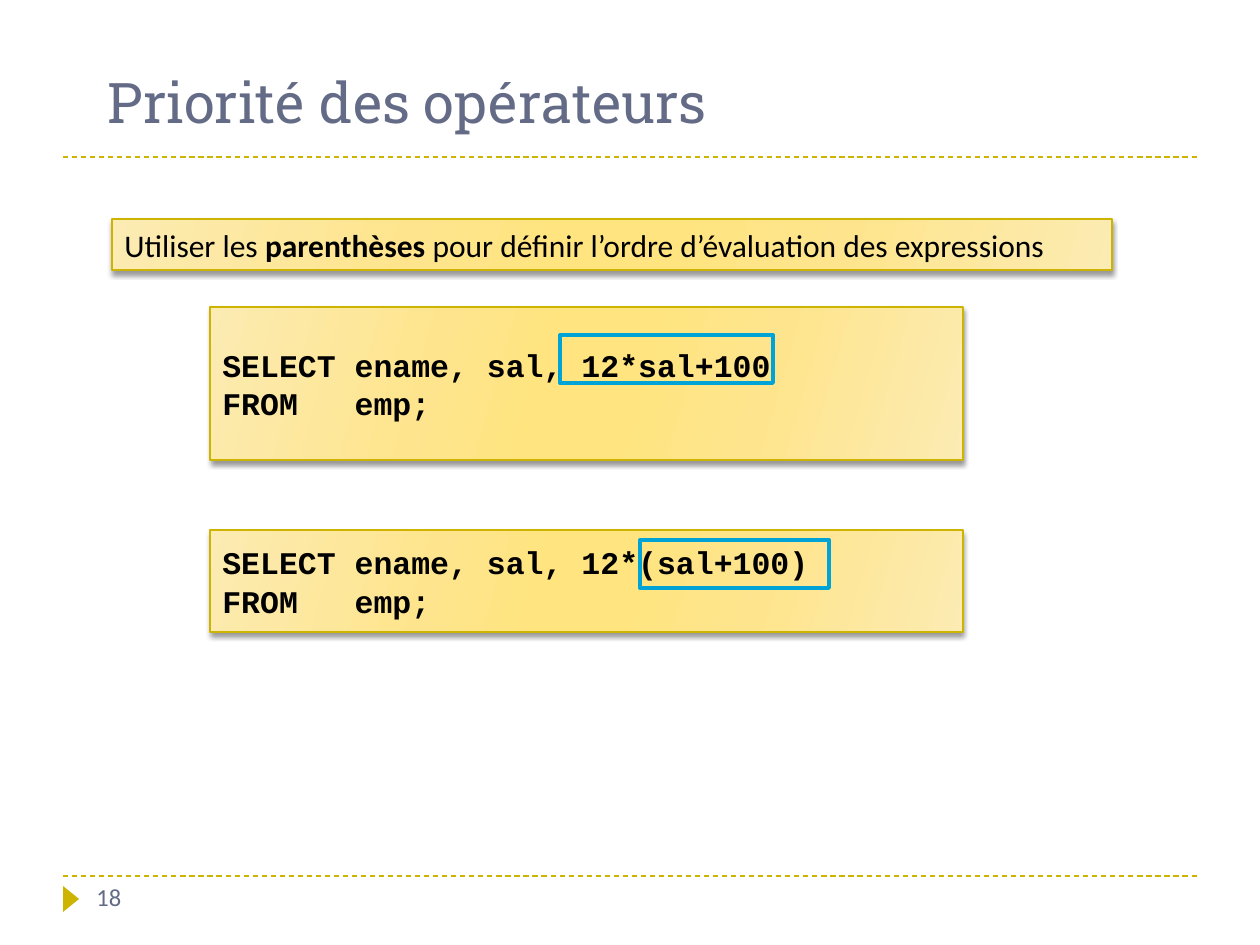
from lxml import etree
from pptx import Presentation, util as u
from pptx.dml.color import RGBColor
from pptx.enum import dml, shapes, text
from pptx.oxml import ns, parse_xml

# Content
TITLE = "Priorité des opérateurs"
PAGE_NUMBER = "18"
RULE = [("Utiliser les ", False), ("parenthèses", True),
        (" pour définir l’ordre d’évaluation des expressions", False)]
RULE_BOX = (112, 219, 1000, 51)
# Each query: box, code lines, box around the part evaluated first
QUERIES = [
    ((210, 307, 753, 153), ["SELECT ename, sal, 12*sal+100", "FROM   emp;"],
     (560, 335, 213, 48)),
    ((210, 530, 753, 102), ["SELECT ename, sal, 12*(sal+100)", "FROM   emp;"],
     (640, 540, 189, 48)),
]

THEME = {
    "heading": "Roboto Slab", "body": "Calibri", "code": "Courier New",
    "title_size": 32, "text_size": 18, "number_size": 14, "code_leading": 22,
    "slate": "646B86", "black": "000000", "gold": "CCB400", "blue": "00A3D6",
    "gradient": [(0, "FCEBB2"), (30, "FEE58D"), (45, "FFE480"),
                 (55, "FFE480"), (73, "FEE58D"), (100, "FCEBB2")],
    "gradient_angle": 16,
}
PX_PER_INCH = 126


def px(*lengths):
    return [round(length * 914400 / PX_PER_INCH) for length in lengths]


def color(name):
    return RGBColor.from_string(THEME[name])


def style(font, face, size, shade, bold=None):
    font.name, font.size = THEME[face], u.Pt(THEME[size])
    font.color.rgb, font.bold = color(shade), bold


def add_shape(kind, box):
    shape = slide.shapes.add_shape(kind, *px(*box))
    shape.shadow.inherit = False
    return shape


def add_panel(box):
    """Gold gradient panel with a thin edge and a soft shadow."""
    panel = add_shape(shapes.MSO_SHAPE.RECTANGLE, box)
    panel.line.color.rgb, panel.line.width = color("gold"), u.Pt(0.75)
    stops = "".join(f'<a:gs pos="{position * 1000}"><a:srgbClr val="{shade}"/></a:gs>'
                    for position, shade in THEME["gradient"])
    properties = panel.element.spPr
    properties.find(ns.qn("a:prstGeom")).addnext(parse_xml(
        f'<a:gradFill {ns.nsdecls("a")} rotWithShape="1"><a:gsLst>{stops}</a:gsLst>'
        f'<a:lin ang="{THEME["gradient_angle"] * 60000}" scaled="0"/></a:gradFill>'))
    properties.find(ns.qn("a:effectLst")).append(parse_xml(
        f'<a:outerShdw {ns.nsdecls("a")} blurRad="{u.Pt(3)}" dist="{u.Pt(2)}" '
        'dir="5400000" rotWithShape="0"><a:srgbClr val="000000">'
        '<a:alpha val="40000"/></a:srgbClr></a:outerShdw>'))
    panel.text_frame.word_wrap = True
    panel.text_frame.vertical_anchor = text.MSO_ANCHOR.MIDDLE
    return panel


def add_query(box, lines, highlight):
    frame = add_panel(box).text_frame
    for index, line in enumerate(lines):
        paragraph = frame.add_paragraph() if index else frame.paragraphs[0]
        paragraph.text = line
        paragraph.alignment = text.PP_ALIGN.LEFT
        paragraph.line_spacing = u.Pt(THEME["code_leading"])
        style(paragraph.font, "code", "text_size", "black", True)
    outline = add_shape(shapes.MSO_SHAPE.RECTANGLE, highlight)
    outline.fill.background()
    outline.line.color.rgb, outline.line.width = color("blue"), u.Pt(2.25)


presentation = Presentation()
presentation.slide_width, presentation.slide_height = px(1260, 945)
slide = presentation.slides.add_slide(presentation.slide_layouts[5])

# Dashed rules and page marker
for y in (876, 157):
    rule = slide.shapes.add_connector(shapes.MSO_CONNECTOR.STRAIGHT,
                                      *px(63, y, 1197, y))
    rule.line.color.rgb, rule.line.width = color("gold"), u.Pt(0.75)
    rule.line.dash_style = dml.MSO_LINE.DASH
    etree.SubElement(rule.element.spPr, ns.qn("a:effectLst"))

marker = add_shape(shapes.MSO_SHAPE.ISOSCELES_TRIANGLE, (58, 891, 26, 16))
marker.rotation = 90
marker.fill.solid()
marker.fill.fore_color.rgb = color("gold")
marker.line.fill.background()

# Title
title = slide.shapes.title
title.left, title.top, title.width, title.height = px(95, 55, 1070, 93)
title.text_frame.text = TITLE
title.text_frame.vertical_anchor = text.MSO_ANCHOR.MIDDLE
heading = title.text_frame.paragraphs[0]
heading.alignment = text.PP_ALIGN.LEFT
style(heading.font, "heading", "title_size", "slate")

# Rule and queries
paragraph = add_panel(RULE_BOX).text_frame.paragraphs[0]
paragraph.alignment = text.PP_ALIGN.LEFT
style(paragraph.font, "body", "text_size", "black")
for words, bold in RULE:
    run = paragraph.add_run()
    run.text, run.font.bold = words, bold

for query in QUERIES:
    add_query(*query)

# Page number
number = slide.shapes.add_textbox(*px(84, 876, 273, 50)).text_frame
number.word_wrap = True
number.text = PAGE_NUMBER
style(number.paragraphs[0].font, "body", "number_size", "slate")

presentation.save("out.pptx")
